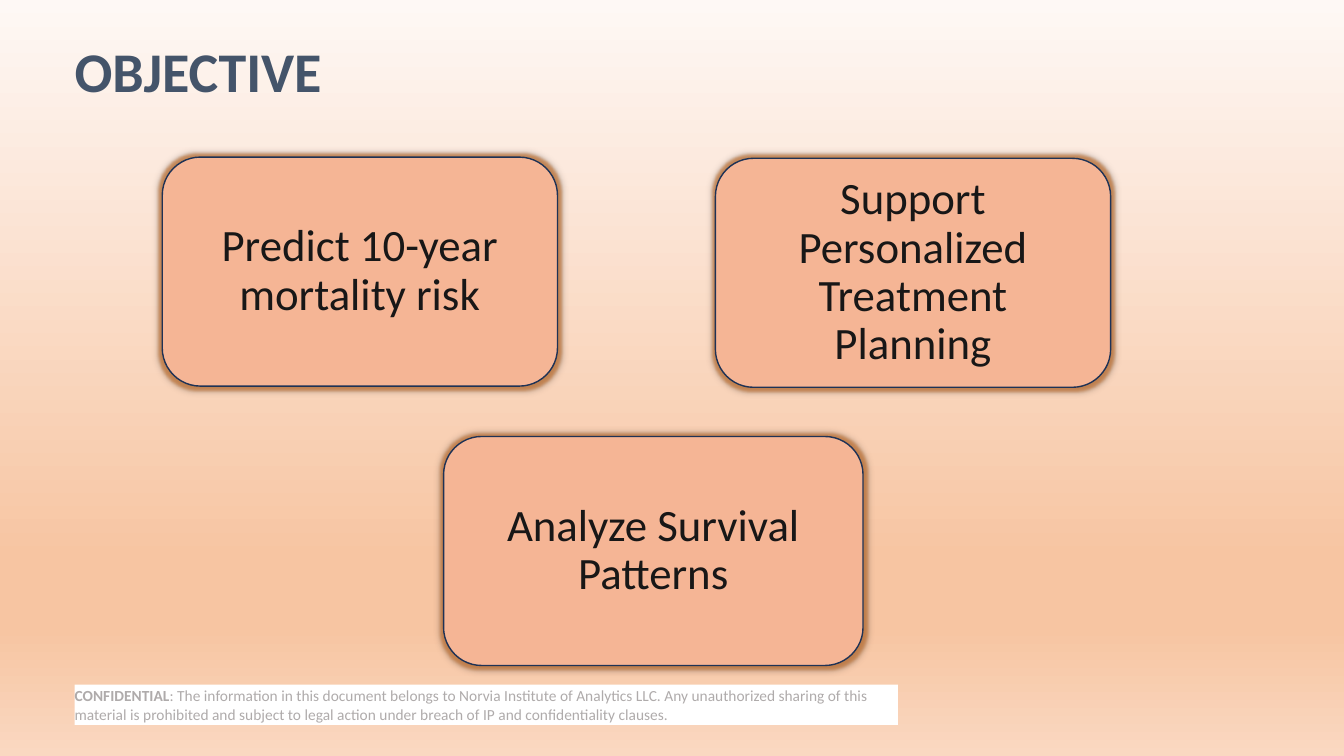
"""Build the objective slide: a title, three goal boxes and a confidentiality note."""
from dataclasses import dataclass

from lxml.etree import SubElement
from pptx import Presentation
from pptx.dml.color import RGBColor
from pptx.enum.shapes import MSO_SHAPE
from pptx.enum.text import MSO_ANCHOR, PP_ALIGN
from pptx.oxml.ns import qn
from pptx.util import Cm, Pt


@dataclass(frozen=True)
class Theme:
    font: str = "Calibri"
    title_color: str = "44546A"
    note_color: str = "AFABAB"
    note_fill: str = "FFFFFF"
    goal_color: str = "181717"
    goal_fill: str = "F5B595"
    goal_line: str = "1E3256"
    glow: str = "C87A3C"
    shadow: str = "000000"
    backdrop: tuple = ((0, "FEF8F5"), (74, "F7C5A2"), (83, "F7C5A2"), (100, "FAD8C1"))
    title_size: int = 40
    goal_size: int = 32
    note_size: int = 11


theme = Theme()


def add_text(shape, runs, size, color, frame_format, para_format):
    """Fill a shape with one paragraph of (text, bold) runs."""
    frame = shape.text_frame
    for name, value in frame_format.items():
        setattr(frame, name, value)
    para = frame.paragraphs[0]
    for name, value in para_format.items():
        setattr(para, name, value)
    for text, bold in runs:
        span = para.add_run()
        span.text = text
        span_format = {"name": theme.font, "size": Pt(size), "bold": bold}
        for name, value in span_format.items():
            setattr(span.font, name, value)
        span.font.color.rgb = RGBColor.from_string(color)


def add_color(parent, color, alpha=100):
    """Append a colour with an opacity in percent."""
    node = SubElement(parent, qn("a:srgbClr"), val=color)
    SubElement(node, qn("a:alpha"), val=str(alpha * 1000))


deck = Presentation()
deck.slide_width, deck.slide_height = Cm(33.87), Cm(19.05)
page = deck.slides.add_slide(deck.slide_layouts[6])

backdrop = page.background.fill
backdrop.gradient()
backdrop.gradient_angle = 270
stops = page.element.find(".//" + qn("a:gsLst"))
for stop in list(stops):
    stops.remove(stop)
for position, color in theme.backdrop:
    stop = SubElement(stops, qn("a:gs"), pos=str(position * 1000))
    add_color(stop, color)

flush = {
    "word_wrap": True, "vertical_anchor": MSO_ANCHOR.MIDDLE,
    "margin_left": 0, "margin_right": 0, "margin_top": 0, "margin_bottom": 0,
}
centred = {"word_wrap": True, "vertical_anchor": MSO_ANCHOR.MIDDLE}

note = page.shapes.add_shape(
    MSO_SHAPE.RECTANGLE, Cm(1.88), Cm(17.25), Cm(20.75), Cm(1.02))
note.shadow.inherit = False
note.fill.solid()
note.fill.fore_color.rgb = RGBColor.from_string(theme.note_fill)
note.line.fill.background()
note_runs = [
    ("CONFIDENTIAL", True),
    (": The information in this document belongs to Norvia Institute of Analytics LLC. "
     "Any unauthorized sharing of this material is prohibited and subject to legal action "
     "under breach of IP and confidentiality clauses.", False),
]
add_text(note, note_runs, theme.note_size, theme.note_color, flush,
         {"alignment": PP_ALIGN.LEFT})

title = page.shapes.add_textbox(Cm(1.88), Cm(1.02), Cm(30.1), Cm(1.7))
add_text(title, [("OBJECTIVE", True)], theme.title_size, theme.title_color, flush,
         {"line_spacing": 0.9})

goals = [
    ("Predict 10-year mortality risk", 4.09, 3.96, 9.96),
    ("Analyze Survival Patterns", 11.18, 11, 10.57),
    ("Support Personalized Treatment Planning", 18.03, 3.99, 9.96),
]
goal_format = {"alignment": PP_ALIGN.CENTER, "line_spacing": 0.9, "space_before": Pt(10)}
for text, left, top, width in goals:
    box = page.shapes.add_shape(
        MSO_SHAPE.FLOWCHART_ALTERNATE_PROCESS, Cm(left), Cm(top), Cm(width), Cm(5.77))
    box.fill.solid()
    box.fill.fore_color.rgb = RGBColor.from_string(theme.goal_fill)
    box.line.color.rgb = RGBColor.from_string(theme.goal_line)
    box.line.width = Pt(1)
    box.shadow.inherit = False
    effects = box.element.spPr.find(qn("a:effectLst"))
    glow = SubElement(effects, qn("a:glow"), rad=str(Pt(4)))
    add_color(glow, theme.glow, 70)
    shadow = SubElement(effects, qn("a:outerShdw"), blurRad=str(Pt(5)), dist="0", dir="0")
    add_color(shadow, theme.shadow, 40)
    add_text(box, [(text, False)], theme.goal_size, theme.goal_color, centred, goal_format)

deck.save("out.pptx")
